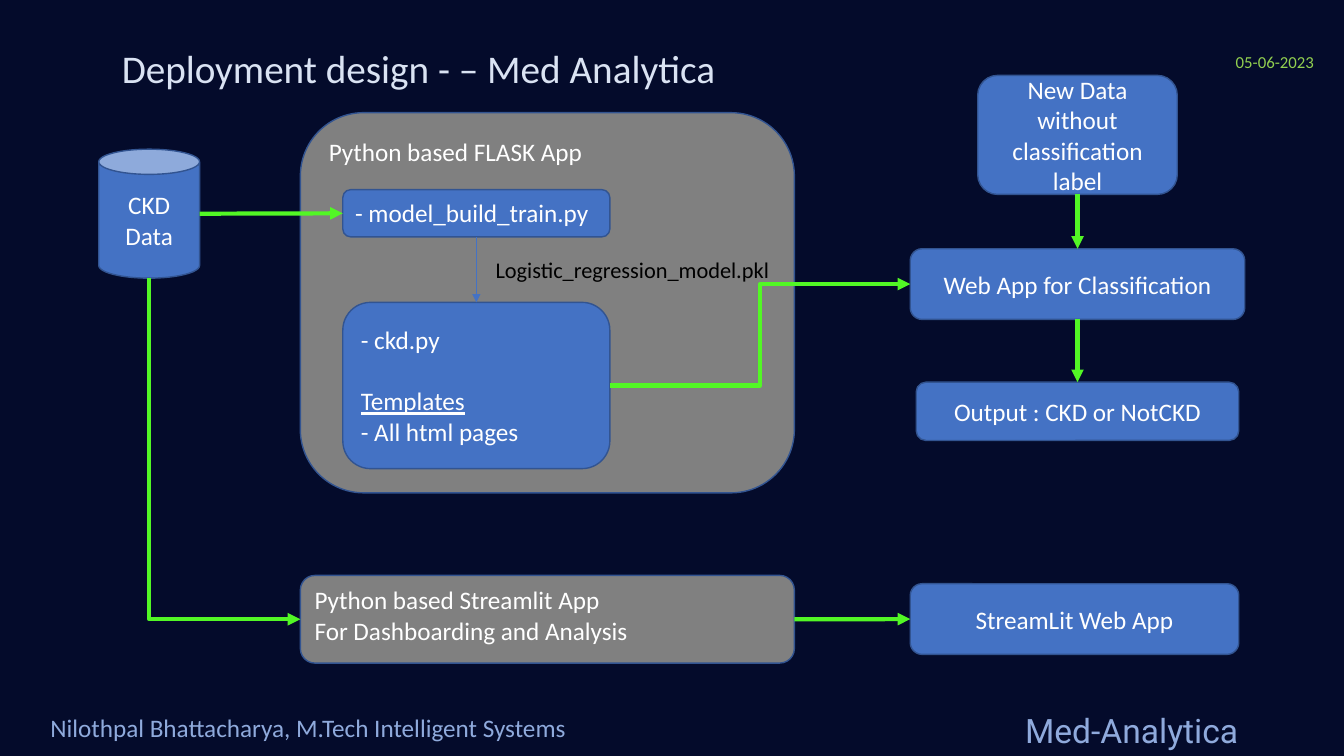
from dataclasses import dataclass
from typing import Optional

from lxml import etree
from pptx import Presentation
from pptx import util as u
from pptx.dml.color import RGBColor
from pptx.enum import shapes, text
from pptx.oxml import ns

SHAPE = shapes.MSO_SHAPE
ALIGN = text.PP_ALIGN
ANCHOR = text.MSO_ANCHOR


@dataclass(frozen=True)
class Theme:
    background: str = "040B2B"
    blue: str = "4472C4"
    gray: str = "808080"
    outline: str = "325491"
    flow: str = "52F725"
    white: str = "FFFFFF"
    black: str = "000000"
    heading: str = "DAE3F3"
    footer: str = "8FAADC"
    date: str = "92D050"
    font: str = "Calibri"
    brand_font: str = "Roboto"
    title_size: int = 28
    brand_size: int = 24
    body_size: int = 18
    label_size: int = 16
    date_size: int = 12
    outline_width: float = 1
    flow_width: float = 3
    thin_width: float = 0.5


THEME = Theme()


@dataclass(frozen=True)
class Area:
    left: float
    top: float
    width: float
    height: float

    def lengths(self) -> tuple:
        return tuple(u.Cm(v) for v in (self.left, self.top, self.width, self.height))

    def side(self, name: str) -> tuple[float, float]:
        middle_x, middle_y = self.left + self.width / 2, self.top + self.height / 2
        return {
            "top": (middle_x, self.top),
            "left": (self.left, middle_y),
            "bottom": (middle_x, self.top + self.height),
            "right": (self.left + self.width, middle_y),
        }[name]


@dataclass(frozen=True)
class Node:
    area: Area
    lines: tuple[str, ...]
    fill: str = THEME.blue
    kind: int = SHAPE.ROUNDED_RECTANGLE
    align: int = ALIGN.CENTER
    anchor: int = ANCHOR.MIDDLE
    underlined: str = ""


@dataclass(frozen=True)
class Label:
    area: Area
    words: str
    color: str
    size: int = THEME.body_size
    font: str = THEME.font
    align: int = ALIGN.LEFT
    anchor: int = ANCHOR.TOP
    line_spacing: Optional[float] = None


@dataclass(frozen=True)
class Arrow:
    start: str
    start_side: str
    end: str
    end_side: str
    color: str = THEME.flow
    width: float = THEME.flow_width


NODES = {
    "data": Node(Area(2.49, 3.76, 2.54, 3.25), ("CKD Data",), kind=SHAPE.CAN),
    "flask": Node(Area(7.57, 2.84, 12.45, 9.58), ("Python based FLASK App",),
                  fill=THEME.gray, align=ALIGN.LEFT, anchor=ANCHOR.TOP),
    "training": Node(Area(8.64, 4.78, 6.73, 1.19), ("- model_build_train.py",),
                     kind=SHAPE.FLOWCHART_ALTERNATE_PROCESS,
                     align=ALIGN.LEFT, anchor=ANCHOR.TOP),
    "scripts": Node(Area(8.64, 7.62, 6.73, 4.19),
                    ("- ckd.py", "Templates", "- All html pages"),
                    align=ALIGN.LEFT, underlined="Templates"),
    "classifier": Node(Area(22.94, 6.27, 8.43, 1.78), ("Web App for Classification",)),
    "new_data": Node(Area(24.64, 1.9, 5.03, 3), ("New Data without classification label",)),
    "output": Node(Area(23.09, 9.63, 8.13, 1.47), ("Output : CKD or NotCKD",)),
    "dashboard": Node(Area(7.57, 14.5, 12.45, 2.21),
                      ("Python based Streamlit App", "For Dashboarding and Analysis"),
                      fill=THEME.gray, align=ALIGN.LEFT, anchor=ANCHOR.TOP),
    "web_dashboard": Node(Area(22.94, 14.71, 8.28, 1.78), ("StreamLit Web App",)),
}

LABELS = (
    Label(Area(25.32, 17.68, 6.4, 1.42), "Med-Analytica", THEME.footer, THEME.brand_size,
          THEME.brand_font, ALIGN.CENTER, ANCHOR.MIDDLE),
    Label(Area(30.89, 1.19, 2.97, 0.58), "05-06-2023", THEME.date, THEME.date_size),
    Label(Area(12.24, 6.32, 7.77, 0.94), "Logistic_regression_model.pkl", THEME.black,
          THEME.label_size),
    Label(Area(2.82, 0.99, 17.65, 1.45), "Deployment design - – Med Analytica",
          THEME.heading, THEME.title_size),
    Label(Area(1.02, 17.98, 25.4, 0.89), "Nilothpal Bhattacharya, M.Tech Intelligent Systems",
          THEME.footer, line_spacing=0.8),
)

ARROWS = (
    Arrow("training", "bottom", "scripts", "top", THEME.blue, THEME.thin_width),
    Arrow("data", "right", "training", "left"),
    Arrow("scripts", "right", "classifier", "left"),
    Arrow("new_data", "bottom", "classifier", "top"),
    Arrow("classifier", "bottom", "output", "top"),
    Arrow("data", "bottom", "dashboard", "left"),
    Arrow("dashboard", "right", "web_dashboard", "left"),
)

SITES = {"top": 0, "left": 1, "bottom": 2, "right": 3}
CAN_SITES = {"top": 1, "left": 2, "bottom": 3, "right": 4}


def write(para, words: str, *, color: str, size: int = THEME.body_size,
          font: str = THEME.font, align: int = ALIGN.LEFT, underline: bool = False,
          line_spacing: Optional[float] = None, space_before: float = 0) -> None:
    para.alignment = align
    para.space_before = u.Pt(space_before)
    if line_spacing:
        para.line_spacing = line_spacing
    span = para.add_run()
    span.text = words
    span.font.name, span.font.size = font, u.Pt(size)
    span.font.underline = underline
    span.font.color.rgb = RGBColor.from_string(color)


def draw_node(page, node: Node):
    box = page.shapes.add_shape(node.kind, *node.area.lengths())
    box.shadow.inherit = False
    box.fill.solid()
    box.fill.fore_color.rgb = RGBColor.from_string(node.fill)
    box.line.color.rgb = RGBColor.from_string(THEME.outline)
    box.line.width = u.Pt(THEME.outline_width)
    frame = box.text_frame
    frame.word_wrap, frame.vertical_anchor = True, node.anchor
    for index, line in enumerate(node.lines):
        para = frame.add_paragraph() if index else frame.paragraphs[0]
        heading = line == node.underlined
        write(para, line, color=THEME.white, align=node.align, underline=heading,
              space_before=THEME.body_size * 1.22 if heading else 0)
    return box


def draw_label(page, label: Label) -> None:
    frame = page.shapes.add_textbox(*label.area.lengths()).text_frame
    frame.word_wrap, frame.vertical_anchor = True, label.anchor
    write(frame.paragraphs[0], label.words, color=label.color, size=label.size,
          font=label.font, align=label.align, line_spacing=label.line_spacing)


def draw_arrow(page, arrow: Arrow, boxes: dict) -> None:
    x1, y1 = NODES[arrow.start].area.side(arrow.start_side)
    x2, y2 = NODES[arrow.end].area.side(arrow.end_side)
    corner = (arrow.start_side, arrow.end_side) == ("bottom", "left")
    straight = min(abs(x2 - x1), abs(y2 - y1)) < 0.1
    if corner:
        middle_x, middle_y = (x1 + x2) / 2, (y1 + y2) / 2
        half_width, half_height = (y2 - y1) / 2, (x2 - x1) / 2
        x1, x2 = middle_x + half_width, middle_x - half_width
        y1, y2 = middle_y - half_height, middle_y + half_height
    kind = shapes.MSO_CONNECTOR.STRAIGHT if straight else shapes.MSO_CONNECTOR.ELBOW
    line = page.shapes.add_connector(kind, *(u.Cm(v) for v in (x1, y1, x2, y2)))
    line.line.color.rgb = RGBColor.from_string(arrow.color)
    line.line.width = u.Pt(arrow.width)
    properties = line._element.spPr
    if corner:
        properties.find(ns.qn("a:xfrm")).set("rot", str(270 * 60000))
        properties.find(ns.qn("a:prstGeom")).set("prst", "bentConnector2")
    etree.SubElement(properties.find(ns.qn("a:ln")), ns.qn("a:tailEnd"), type="triangle")
    etree.SubElement(properties, ns.qn("a:effectLst"))
    links = line._element.find(".//" + ns.qn("p:cNvCxnSpPr"))
    for tag, name, side in (("a:stCxn", arrow.start, arrow.start_side),
                            ("a:endCxn", arrow.end, arrow.end_side)):
        sites = CAN_SITES if NODES[name].kind == SHAPE.CAN else SITES
        etree.SubElement(links, ns.qn(tag), id=str(boxes[name].shape_id), idx=str(sites[side]))


def main() -> None:
    deck = Presentation()
    deck.slide_width, deck.slide_height = u.Cm(33.87), u.Cm(19.05)
    page = deck.slides.add_slide(deck.slide_layouts[6])
    page.background.fill.solid()
    page.background.fill.fore_color.rgb = RGBColor.from_string(THEME.background)
    boxes = {name: draw_node(page, node) for name, node in NODES.items()}
    for label in LABELS:
        draw_label(page, label)
    for arrow in ARROWS:
        draw_arrow(page, arrow, boxes)
    deck.save("out.pptx")


if __name__ == "__main__":
    main()
